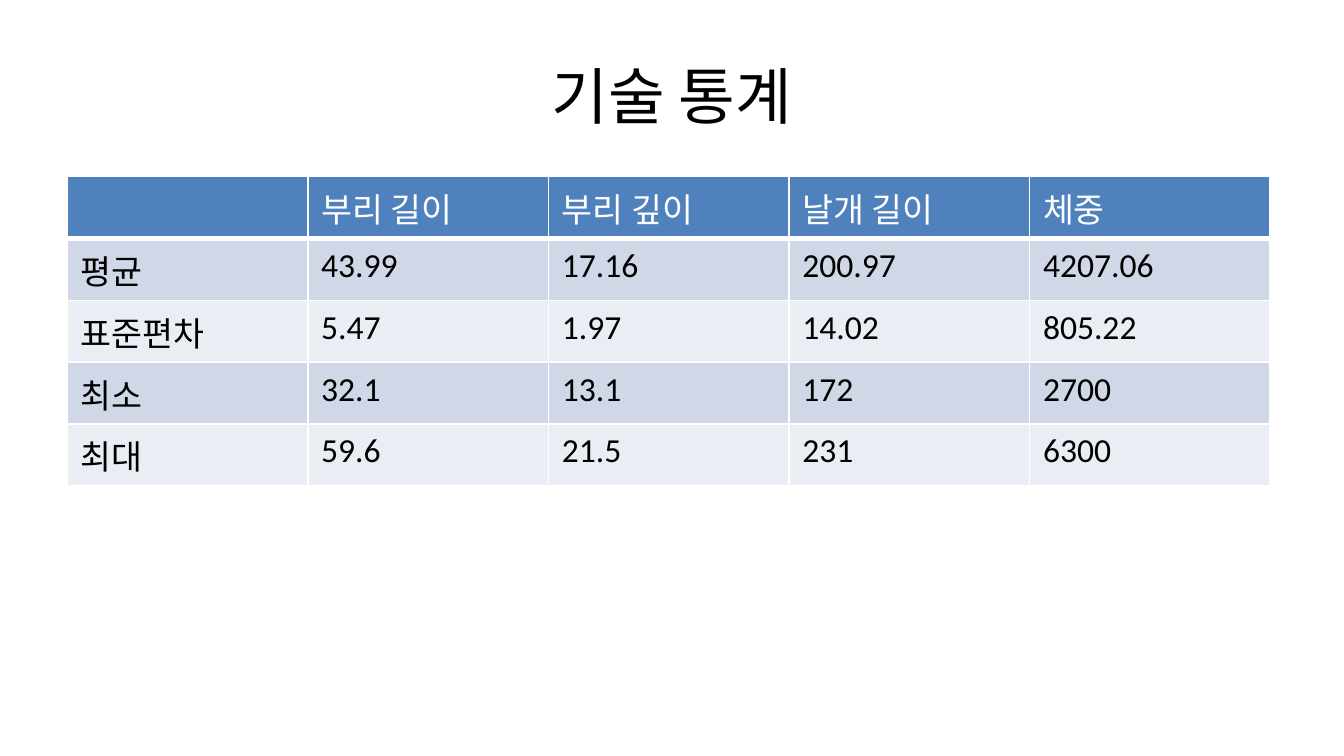
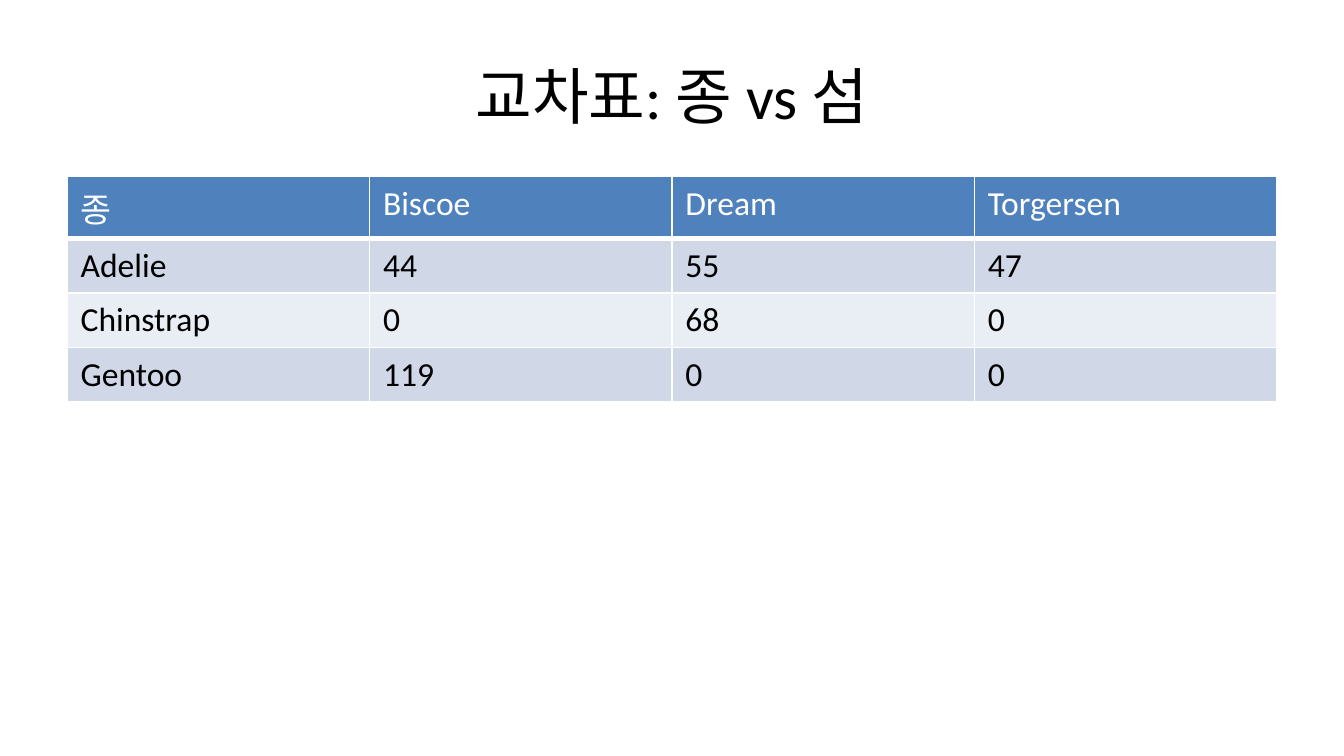
from lxml.etree import SubElement
from pptx import Presentation
from pptx.dml.color import RGBColor
from pptx.enum.text import MSO_ANCHOR, PP_ALIGN
from pptx.oxml.ns import qn
from pptx.util import Pt

# Each slide: title, column width, row heights, table rows (header first)
SLIDES = [
    ("기술 통계", 128.9, [33.2] * 5, [
        ("", "부리 길이", "부리 깊이", "날개 길이", "체중"),
        ("평균", "43.99", "17.16", "200.97", "4207.06"),
        ("표준편차", "5.47", "1.97", "14.02", "805.22"),
        ("최소", "32.1", "13.1", "172", "2700"),
        ("최대", "59.6", "21.5", "231", "6300"),
    ]),
    ("교차표: 종 vs 섬", 162, [33.2] + [29.2] * 3, [
        ("종", "Biscoe", "Dream", "Torgersen"),
        ("Adelie", "44", "55", "47"),
        ("Chinstrap", "0", "68", "0"),
        ("Gentoo", "119", "0", "0"),
    ]),
]

FONT = "Calibri"
BLACK, WHITE = "000000", "FFFFFF"
HEADER_FILL = "4F81BD"
BAND_FILLS = ("D0D8E8", "E9EDF4")
LEFT, CONTENT_WIDTH = 36, 648
TITLE_TOP, TITLE_HEIGHT = 16.9, 67.5
TABLE_TOP = 94.5


def color(hex_string):
    return RGBColor.from_string(hex_string)


def add_text(paragraph, text, size, text_color):
    run = paragraph.add_run()
    run.text = text
    run.font.name = FONT
    run.font.size = Pt(size)
    run.font.color.rgb = color(text_color)


def add_title(slide, title):
    box = slide.shapes.add_textbox(
        Pt(LEFT), Pt(TITLE_TOP), Pt(CONTENT_WIDTH), Pt(TITLE_HEIGHT))
    frame = box.text_frame
    frame.word_wrap = True
    frame.vertical_anchor = MSO_ANCHOR.MIDDLE
    paragraph = frame.paragraphs[0]
    paragraph.alignment = PP_ALIGN.CENTER
    add_text(paragraph, title, 33, BLACK)


def set_borders(cell, bottom_width):
    """Draw white borders; they must precede the fill in the cell's XML."""
    properties = cell._tc.get_or_add_tcPr()
    for side, width in (("L", 1), ("R", 1), ("T", 1), ("B", bottom_width)):
        line = SubElement(properties, qn(f"a:ln{side}"), w=str(Pt(width)))
        fill = SubElement(line, qn("a:solidFill"))
        SubElement(fill, qn("a:srgbClr"), val=WHITE)


def add_data_table(slide, column_width, row_heights, rows):
    column_count = len(rows[0])
    table = slide.shapes.add_table(
        len(rows), column_count, Pt(LEFT), Pt(TABLE_TOP),
        Pt(column_width * column_count), Pt(sum(row_heights))).table
    for column in table.columns:
        column.width = Pt(column_width)
    for r, (height, values) in enumerate(zip(row_heights, rows)):
        table.rows[r].height = Pt(height)
        is_header = r == 0
        row_fill = HEADER_FILL if is_header else BAND_FILLS[(r - 1) % 2]
        for c, value in enumerate(values):
            cell = table.cell(r, c)
            set_borders(cell, 3 if is_header else 1)
            cell.fill.solid()
            cell.fill.fore_color.rgb = color(row_fill)
            if value:
                add_text(cell.text_frame.paragraphs[0], value, 18,
                         WHITE if is_header else BLACK)
                cell.text_frame.paragraphs[0].runs[0].font.bold = False


def main():
    presentation = Presentation()
    presentation.slide_width, presentation.slide_height = Pt(720), Pt(405)
    for title, column_width, row_heights, rows in SLIDES:
        slide = presentation.slides.add_slide(presentation.slide_layouts[6])
        add_title(slide, title)
        add_data_table(slide, column_width, row_heights, rows)
    presentation.save("out.pptx")


if __name__ == "__main__":
    main()
